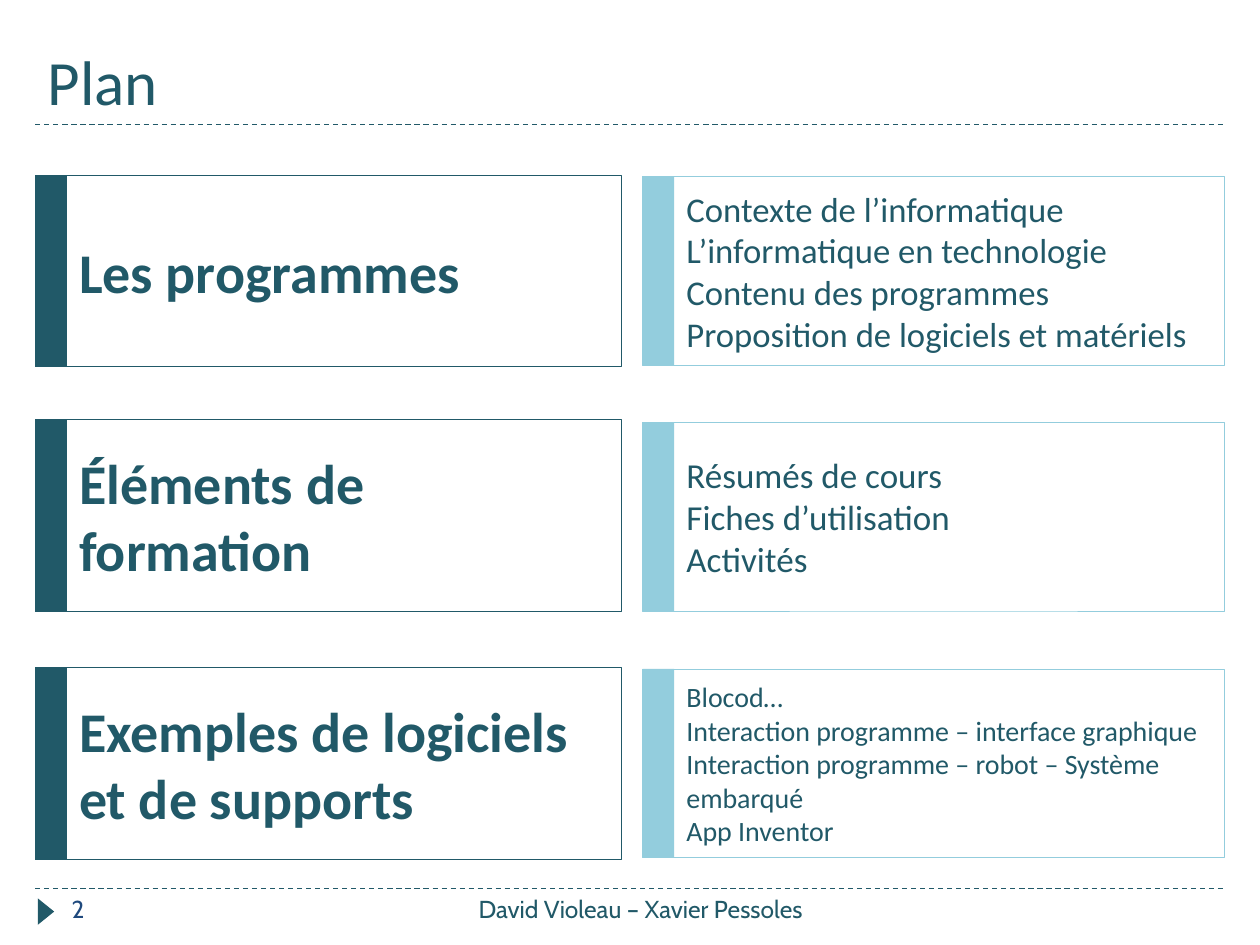
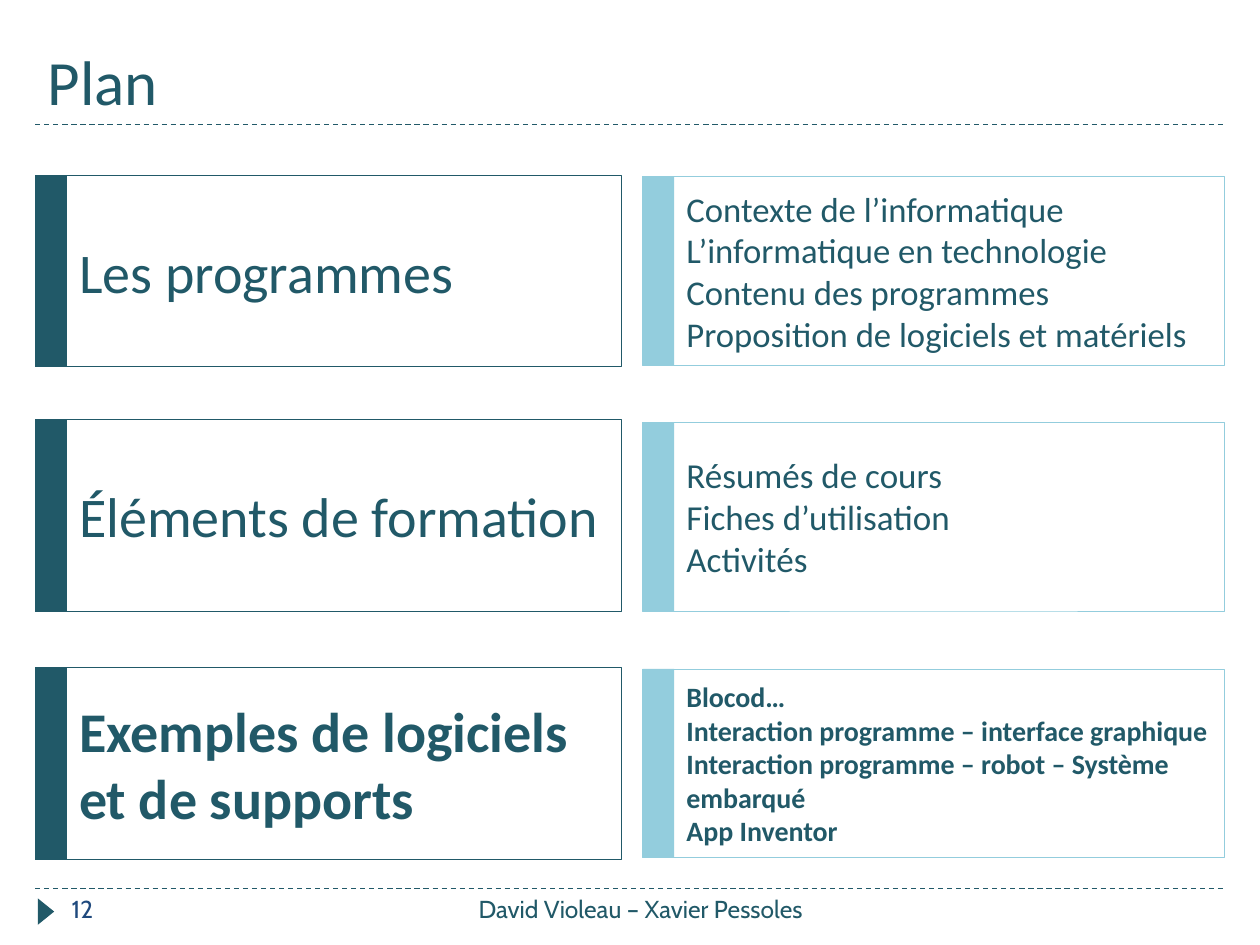
import pptx
import pptx.util
import pptx.dml.color
import pptx.enum.dml
import pptx.enum.shapes
import pptx.enum.text
import pptx.oxml.ns
from lxml import etree

Inches = pptx.util.Inches
SHAPES = pptx.enum.shapes.MSO_SHAPE
ANCHOR = pptx.enum.text.MSO_ANCHOR
ALIGN = pptx.enum.text.PP_ALIGN

COLORS = {"dark": "215968", "light": "93CDDD", "number": "1F497D"}
LEFT, RIGHT = 0.28, 9.72
HEADING_LEFT, HEADING_WIDTH = LEFT, 4.65
DETAIL_LEFT, DETAIL_WIDTH = 5.1, 4.62
BAR_WIDTH = 0.25
HEADING_HEIGHT, DETAIL_HEIGHT = 1.52, 1.5
ROW_TOPS = (1.39, 3.33, 5.3)
DETAIL_TOPS = (1.4, 3.35, 5.31)

# Heading, detail lines, detail text size
SECTIONS = [
    ("Les programmes",
     ["Contexte de l’informatique", "L’informatique en technologie",
      "Contenu des programmes", "Proposition de logiciels et matériels"], 19.8),
    ("Éléments de formation",
     ["Résumés de cours", "Fiches d’utilisation", "Activités"], 20),
    ("Exemples de logiciels et de supports",
     ["Blocod…", "Interaction programme – interface graphique",
      "Interaction programme – robot – Système embarqué", "App Inventor"], 16),
]

# Page number, rows with bold headings, rows with bold details
PAGES = [("2", {0, 1, 2}, set()), ("12", {2}, {2})]


def rgb(color):
    return pptx.dml.color.RGBColor.from_string(COLORS[color])


def write(frame, lines, size, color="dark", font="Calibri", bold=False,
          align=ALIGN.LEFT, anchor=ANCHOR.TOP):
    frame_format = {"word_wrap": True, "vertical_anchor": anchor,
                    "auto_size": pptx.enum.text.MSO_AUTO_SIZE.NONE}
    for name, value in frame_format.items():
        setattr(frame, name, value)
    font_format = {"name": font, "size": pptx.util.Pt(size), "bold": bold}
    for index, line in enumerate(lines):
        para = frame.add_paragraph() if index else frame.paragraphs[0]
        para.alignment = align
        span = para.add_run()
        span.text = line
        for name, value in font_format.items():
            setattr(span.font, name, value)
        span.font.color.rgb = rgb(color)


def add_text(page, area, lines, size, **style):
    box = page.shapes.add_textbox(*map(Inches, area))
    write(box.text_frame, lines, size, **style)


def add_block(page, area, fill=None, line=None, kind=SHAPES.RECTANGLE):
    block = page.shapes.add_shape(kind, *map(Inches, area))
    block.shadow.inherit = False
    if fill:
        block.fill.solid()
        block.fill.fore_color.rgb = rgb(fill)
    else:
        block.fill.background()
    if line:
        block.line.color.rgb = rgb(line)
        block.line.width = pptx.util.Pt(0.5)
    else:
        block.line.fill.background()
    return block


def add_rule(page, top):
    rule = page.shapes.add_connector(
        pptx.enum.shapes.MSO_CONNECTOR.STRAIGHT,
        Inches(LEFT), Inches(top), Inches(RIGHT), Inches(top))
    rule.line.color.rgb = rgb("dark")
    rule.line.width = pptx.util.Pt(0.75)
    rule.line.dash_style = pptx.enum.dml.MSO_LINE.DASH
    properties = rule._element.find(pptx.oxml.ns.qn("p:spPr"))
    etree.SubElement(properties, pptx.oxml.ns.qn("a:effectLst"))


def add_title(page, text):
    title = page.shapes.title
    place = {"left": LEFT, "top": 0, "width": 9.45, "height": 0.99}
    for name, value in place.items():
        setattr(title, name, Inches(value))
    write(title.text_frame, [text], 36, anchor=ANCHOR.BOTTOM)


def add_frame(page, number):
    # Dashed rules, page marker and footer
    add_rule(page, 7.05)
    add_rule(page, 0.99)
    marker = add_block(page, (0.26, 7.17, 0.21, 0.13), fill="dark",
                       kind=SHAPES.ISOSCELES_TRIANGLE)
    marker.rotation = 90
    add_text(page, (3.17, 7.05, 3.83, 0.4), ["David Violeau – Xavier Pessoles"],
             14, font="Cabin", align=ALIGN.CENTER)
    add_text(page, (0.47, 7.05, 2.17, 0.4), [number], 14,
             font="Cabin", color="number")


def add_card(page, area, color, bar_line, lines, size, bold):
    # Outlined box, coloured side bar and text beside the bar
    left, top, width, height = area
    add_block(page, area, line=color)
    add_block(page, (left, top, BAR_WIDTH, height), fill=color, line=bar_line)
    add_text(page, (left + BAR_WIDTH, top, width - BAR_WIDTH, height),
             lines, size, bold=bold, anchor=ANCHOR.MIDDLE)


def add_plan(deck, number, bold_headings, bold_details):
    page = deck.slides.add_slide(deck.slide_layouts[5])
    add_title(page, "Plan")
    add_frame(page, number)
    for row, (heading, details, size) in enumerate(SECTIONS):
        add_card(page, (HEADING_LEFT, ROW_TOPS[row], HEADING_WIDTH, HEADING_HEIGHT),
                 "dark", "dark", [heading], 32, row in bold_headings)
        add_card(page, (DETAIL_LEFT, DETAIL_TOPS[row], DETAIL_WIDTH, DETAIL_HEIGHT),
                 "light", None, details, size, row in bold_details)


def main():
    deck = pptx.Presentation()
    deck.slide_width, deck.slide_height = Inches(10), Inches(7.5)
    for number, bold_headings, bold_details in PAGES:
        add_plan(deck, number, bold_headings, bold_details)
    deck.save("out.pptx")


if __name__ == "__main__":
    main()
